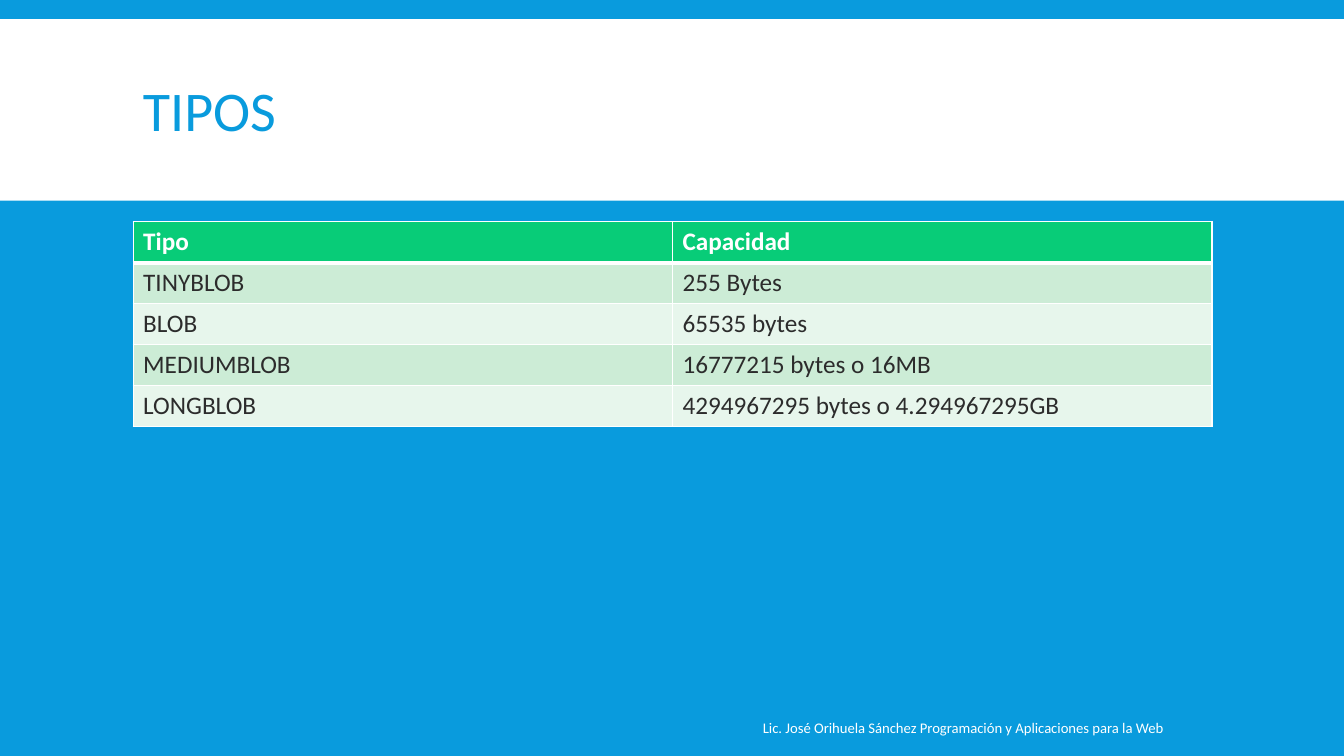
"""Build the slide that lists the BLOB types and their capacity."""
from lxml.etree import SubElement
from pptx import Presentation
from pptx.dml.color import RGBColor
from pptx.enum.shapes import MSO_SHAPE
from pptx.enum.text import MSO_ANCHOR, PP_ALIGN
from pptx.oxml.ns import qn
from pptx.util import Inches, Pt

COLORS = {
    "blue": "099BDD",
    "white": "FFFFFF",
    "green": "08CC78",
    "mint": "CCECD6",
    "pale": "E7F6EC",
    "dark": "2C2C2C",
}
ROWS = [
    ("Tipo", "Capacidad"),
    ("TINYBLOB", "255 Bytes"),
    ("BLOB", "65535 bytes"),
    ("MEDIUMBLOB", "16777215 bytes o 16MB"),
    ("LONGBLOB", "4294967295 bytes o 4.294967295GB"),
]


def paint(fill, name):
    fill.solid()
    fill.fore_color.rgb = RGBColor.from_string(COLORS[name])


def write(frame, text, size, color, bold=False):
    frame.text = text
    frame.word_wrap = True
    font = frame.paragraphs[0].runs[0].font
    font.name = "Calibri"
    font.size = Pt(size)
    font.bold = bold
    font.color.rgb = RGBColor.from_string(COLORS[color])


deck = Presentation()
deck.slide_width = Inches(13.33)
deck.slide_height = Inches(7.5)
slide = deck.slides.add_slide(deck.slide_layouts[6])
paint(slide.background.fill, "blue")
shapes = slide.shapes

band = shapes.add_shape(MSO_SHAPE.RECTANGLE, 0, Inches(0.19), Inches(13.33), Inches(1.8))
band.shadow.inherit = False
paint(band.fill, "white")
band.line.fill.background()

title = shapes.add_textbox(Inches(1.32), Inches(0.31), Inches(10.7), Inches(1.65)).text_frame
write(title, "TIPOS", 40, "blue")
title.vertical_anchor = MSO_ANCHOR.MIDDLE
title.paragraphs[0].line_spacing = 0.85

table = shapes.add_table(
    len(ROWS), 2, Inches(1.32), Inches(2.2), Inches(10.7), Inches(2.03)
).table
for r, row in enumerate(ROWS):
    head = r == 0
    shade = "green" if head else ("pale", "mint")[r % 2]
    for c, text in enumerate(row):
        cell = table.cell(r, c)
        write(cell.text_frame, text, 18, "white" if head else "dark", head)
        props = cell._tc.get_or_add_tcPr()
        for side in "LRTB":
            thick = (r, side) in ((0, "B"), (1, "T"))
            edge = SubElement(props, qn(f"a:ln{side}"), w=str(Pt(3 if thick else 1)))
            solid = SubElement(edge, qn("a:solidFill"))
            SubElement(solid, qn("a:srgbClr"), val=COLORS["white"])
        paint(cell.fill, shade)

foot = shapes.add_textbox(Inches(6.12), Inches(7.02), Inches(5.52), Inches(0.4)).text_frame
write(foot, "Lic. José Orihuela Sánchez Programación y Aplicaciones para la Web", 10.5, "white")
foot.vertical_anchor = MSO_ANCHOR.MIDDLE
foot.paragraphs[0].alignment = PP_ALIGN.RIGHT

deck.save("out.pptx")
